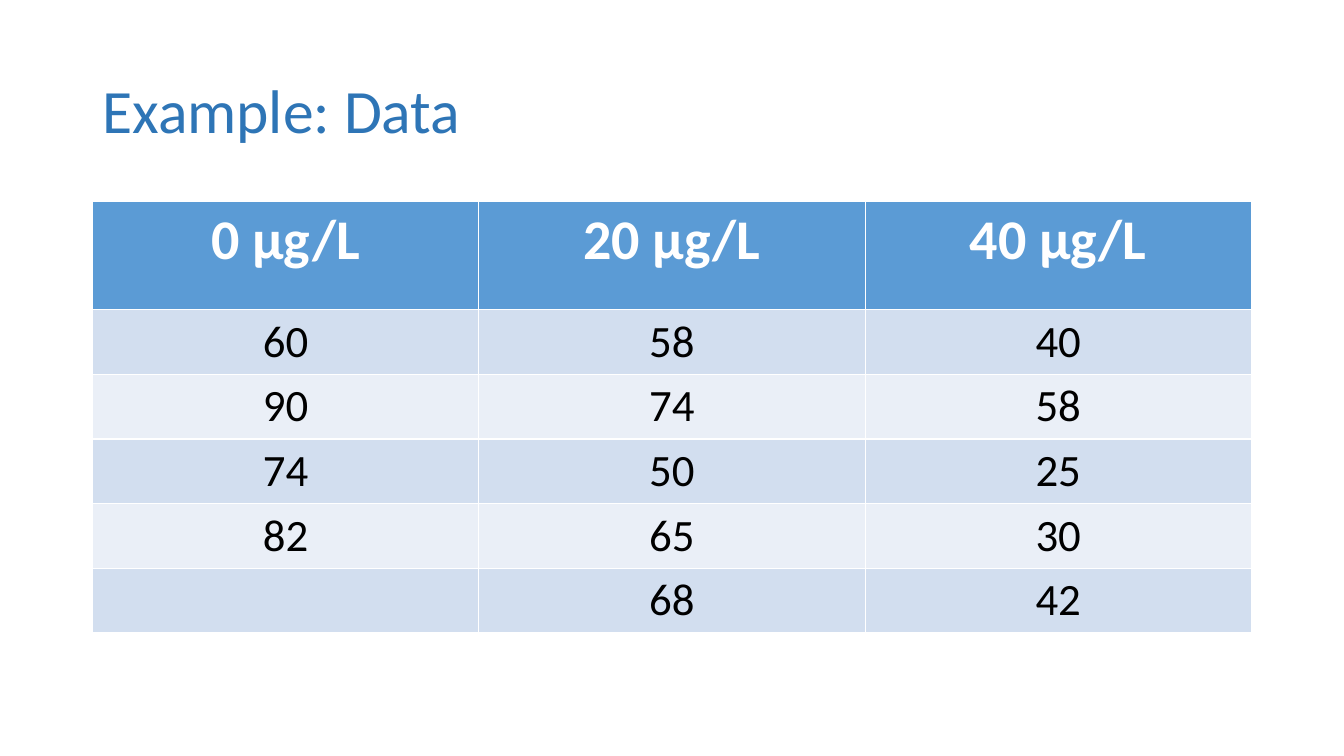
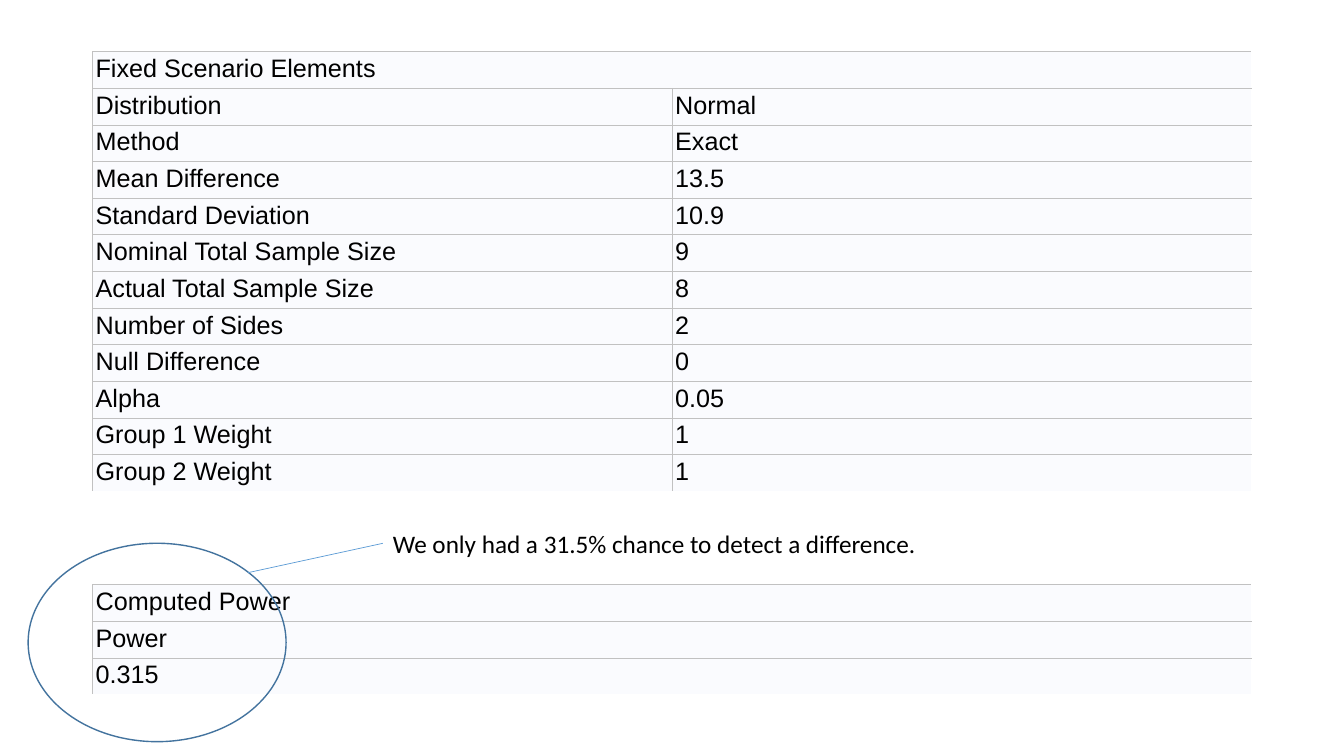
"""Build two slides: example data and the power analysis of it."""
from lxml import etree
from pptx import Presentation
from pptx.dml.color import RGBColor
from pptx.enum.shapes import MSO_CONNECTOR, MSO_SHAPE
from pptx.enum.text import MSO_ANCHOR, PP_ALIGN
from pptx.oxml.ns import qn
from pptx.util import Cm, Pt

LEFT, CENTER = PP_ALIGN.LEFT, PP_ALIGN.CENTER
MIDDLE = MSO_ANCHOR.MIDDLE
OVAL, STRAIGHT = MSO_SHAPE.OVAL, MSO_CONNECTOR.STRAIGHT

THEME = {
    "title": ({"name": "Calibri", "size": Pt(44), "bold": False}, "2E75B6"),
    "header": ({"name": "Calibri", "size": Pt(40), "bold": True}, "FFFFFF"),
    "value": ({"name": "Calibri", "size": Pt(32), "bold": False}, "000000"),
    "result": ({"name": "Arial", "size": Pt(18), "bold": False}, "000000"),
    "remark": ({"name": "Calibri", "size": Pt(18), "bold": False}, "000000"),
    "header_fill": "5B9BD5",
    "band_fills": ("EAEFF7", "D2DEEF"),
    "result_fill": "FAFBFE",
    "result_border": "C1C1C1",
    "ring": "43739E",
    "pointer": "5B9BD5",
}
MARGIN, CONTENT_WIDTH = Cm(2.33), Cm(29.21)


def write(frame, text, style, align=LEFT):
    """Put one styled paragraph into a text frame."""
    paragraph = frame.paragraphs[0]
    paragraph.alignment = align
    run = paragraph.add_run()
    run.text = text
    font_values, color = THEME[style]
    for attribute, value in font_values.items():
        setattr(run.font, attribute, value)
    run.font.color.rgb = RGBColor.from_string(color)
    return paragraph


def fill_cell(cell, color):
    """Give a table cell a plain fill."""
    cell.fill.solid()
    cell.fill.fore_color.rgb = RGBColor.from_string(color)


prs = Presentation()
prs.slide_width, prs.slide_height = Cm(33.87), Cm(19.05)
blank = prs.slide_layouts[6]

data_slide = prs.slides.add_slide(blank)
title = data_slide.shapes.add_textbox(MARGIN, Cm(1.01), CONTENT_WIDTH, Cm(3.68)).text_frame
title.word_wrap = True
title.vertical_anchor = MIDDLE
write(title, "Example: Data", "title").line_spacing = 0.9

samples = [
    ("0 μg/L", "20 μg/L", "40 μg/L"),
    ("60", "58", "40"),
    ("90", "74", "58"),
    ("74", "50", "25"),
    ("82", "65", "30"),
    ("", "68", "42"),
]
header_height, value_height = Cm(2.72), Cm(1.63)
data_height = header_height + value_height * (len(samples) - 1)
data = data_slide.shapes.add_table(
    len(samples), len(samples[0]), MARGIN, Cm(5.08), CONTENT_WIDTH, data_height).table
for r, sample in enumerate(samples):
    data.rows[r].height = value_height if r else header_height
    for c, text in enumerate(sample):
        cell = data.cell(r, c)
        fill_cell(cell, THEME["band_fills"][r % 2] if r else THEME["header_fill"])
        if text:
            write(cell.text_frame, text, "value" if r else "header", CENTER)

power_slide = prs.slides.add_slide(blank)
scenario = [
    ("Fixed Scenario Elements", ""),
    ("Distribution", "Normal"),
    ("Method", "Exact"),
    ("Mean Difference", "13.5"),
    ("Standard Deviation", "10.9"),
    ("Nominal Total Sample Size", "9"),
    ("Actual Total Sample Size", "8"),
    ("Number of Sides", "2"),
    ("Null Difference", "0"),
    ("Alpha", "0.05"),
    ("Group 1 Weight", "1"),
    ("Group 2 Weight", "1"),
]
computed_power = [("Computed Power",), ("Power",), ("0.315",)]
result_row_height = Cm(0.89)
cell_margins = dict.fromkeys(
    ("margin_left", "margin_top", "margin_right", "margin_bottom"), Cm(0.08))

for top, results in ((Cm(1.3), scenario), (Cm(14.73), computed_power)):
    row_count, column_count = len(results), len(results[0])
    table = power_slide.shapes.add_table(
        row_count, column_count, MARGIN, top, CONTENT_WIDTH,
        result_row_height * row_count).table
    table.first_row = table.horz_banding = False
    if column_count > 1:
        table.cell(0, 0).merge(table.cell(0, column_count - 1))
    for r, result in enumerate(results):
        table.rows[r].height = result_row_height
        for c, text in enumerate(result):
            cell = table.cell(r, c)
            if cell.is_spanned:
                continue
            for attribute, value in cell_margins.items():
                setattr(cell, attribute, value)
            write(cell.text_frame, text, "result")
            edges = {
                "a:lnL": True,
                "a:lnR": c + cell.span_width < column_count,
                "a:lnT": True,
                "a:lnB": r + 1 < row_count,
            }
            properties = cell._tc.get_or_add_tcPr()
            for tag, drawn in edges.items():
                if drawn:
                    edge = etree.SubElement(properties, qn(tag), w=str(Pt(0.5)))
                    paint = etree.SubElement(edge, qn("a:solidFill"))
                    etree.SubElement(paint, qn("a:srgbClr"), val=THEME["result_border"])
            fill_cell(cell, THEME["result_fill"])

ring = power_slide.shapes.add_shape(OVAL, Cm(0.71), Cm(13.69), Cm(6.5), Cm(5))
ring.shadow.inherit = False
ring.fill.background()
ring.line.color.rgb = RGBColor.from_string(THEME["ring"])
ring.line.width = Pt(1)

remark = power_slide.shapes.add_textbox(Cm(9.65), Cm(13.18), Cm(14.02), Cm(1.02))
remark.text_frame.word_wrap = True
write(remark.text_frame, "We only had a 31.5% chance to detect a difference.", "remark")

pointer = power_slide.shapes.add_connector(
    STRAIGHT, Cm(9.65), Cm(13.69), Cm(6.25), Cm(14.43))
pointer.begin_connect(remark, 1)
pointer.line.color.rgb = RGBColor.from_string(THEME["pointer"])
pointer.line.width = Pt(0.5)
etree.SubElement(pointer._element.spPr, qn("a:effectLst"))

prs.save("out.pptx")
